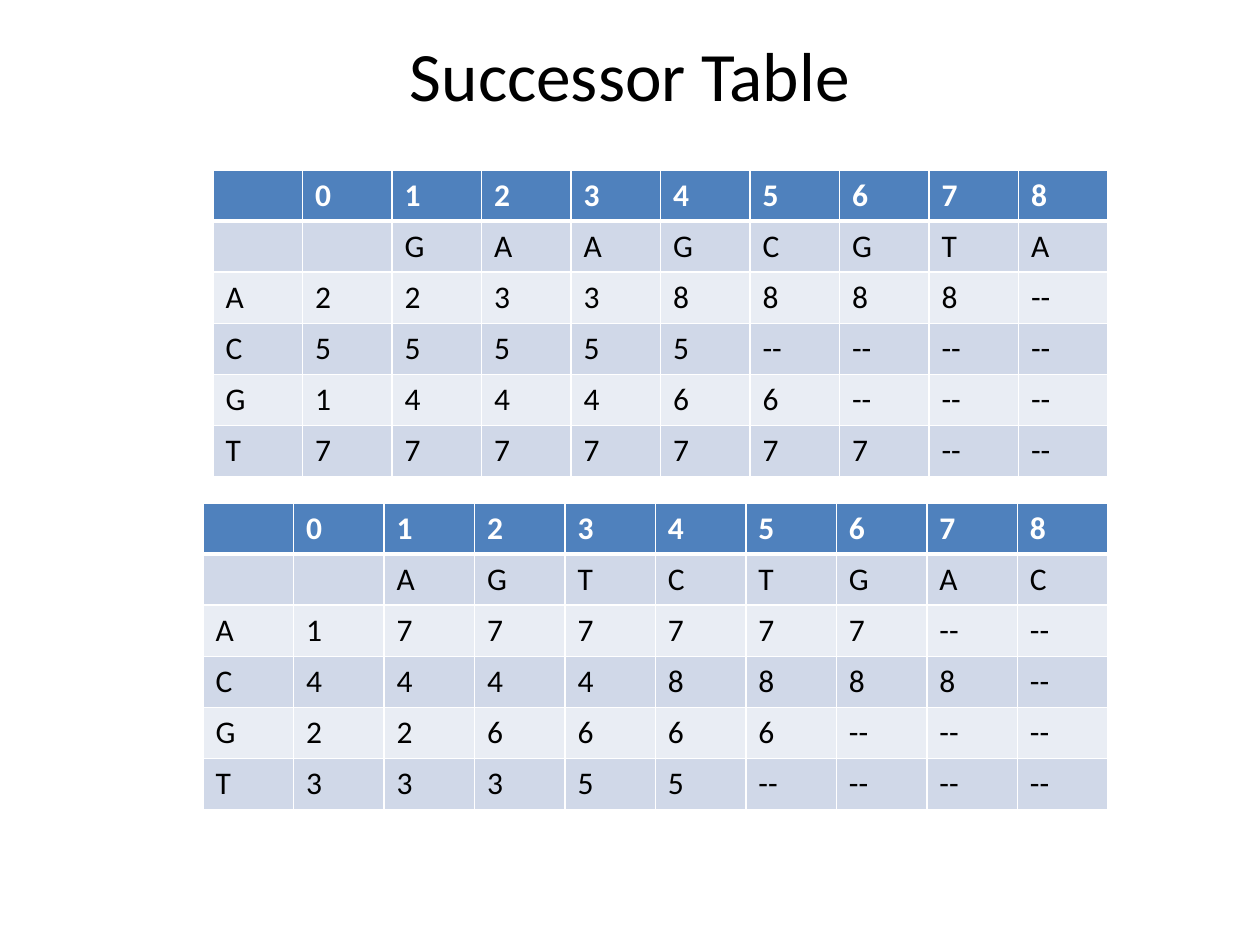
"""Build the Successor Table slide: two lookup tables under a title."""
from dataclasses import dataclass

from lxml.etree import SubElement
from pptx import Presentation
from pptx.dml.color import RGBColor as RGB
from pptx.enum.text import MSO_ANCHOR as Anchor, PP_ALIGN as Align
from pptx.oxml.ns import qn
from pptx.util import Pt


@dataclass(frozen=True)
class Theme:
    font: str = "Calibri"
    title_size: float = 39.6
    cell_size: int = 18
    ink: str = "000000"
    white: str = "FFFFFF"
    header: str = "4F81BD"
    odd_band: str = "D0D8E8"
    even_band: str = "E9EDF4"


theme = Theme()
EMU_PER_PX = 914400 / 126
ROW_HEIGHT = 51


def px(*lengths):
    return [round(length * EMU_PER_PX) for length in lengths]


def add_border(cell, side, points):
    line = SubElement(cell._tc.get_or_add_tcPr(), qn(f"a:ln{side}"), w=str(Pt(points)))
    fill = SubElement(line, qn("a:solidFill"))
    SubElement(fill, qn("a:srgbClr"), val=theme.white)


POSITIONS = [""] + [str(position) for position in range(9)]
successor_tables = [
    ((213, 170, 895), "GAAGCGTA", [
        "A 2 2 3 3 8 8 8 8 --",
        "C 5 5 5 5 5 -- -- -- --",
        "G 1 4 4 4 6 6 -- -- --",
        "T 7 7 7 7 7 7 7 -- --",
    ]),
    ((203, 503, 905), "AGTCTGAC", [
        "A 1 7 7 7 7 7 7 -- --",
        "C 4 4 4 4 8 8 8 8 --",
        "G 2 2 6 6 6 6 -- -- --",
        "T 3 3 3 5 5 -- -- -- --",
    ]),
]

deck = Presentation()
deck.slide_width, deck.slide_height = px(1260, 945)
slide = deck.slides.add_slide(deck.slide_layouts[5])

title = slide.shapes.title
title.left, title.top, title.width, title.height = px(63, 32, 1134, 158)
title.text_frame.text = "Successor Table"
title.text_frame.vertical_anchor = Anchor.TOP
title.text_frame.margin_top = 0
heading = title.text_frame.paragraphs[0]
heading.alignment = Align.CENTER
heading.font.name = theme.font
heading.font.size = Pt(theme.title_size)
heading.font.color.rgb = RGB.from_string(theme.ink)

for (left, top, width), sequence, successors in successor_tables:
    rows = [POSITIONS, ["", "", *sequence]] + [line.split() for line in successors]
    frame = px(left, top, width, ROW_HEIGHT * len(rows))
    grid = slide.shapes.add_table(len(rows), len(POSITIONS), *frame).table
    for row_index, row in enumerate(rows):
        is_header = row_index == 0
        band = theme.odd_band if row_index % 2 else theme.even_band
        for column_index, value in enumerate(row):
            cell = grid.cell(row_index, column_index)
            cell.text = value
            for side in "LRTB":
                under_header = (row_index, side) in [(0, "B"), (1, "T")]
                add_border(cell, side, 3 if under_header else 1)
            cell.fill.solid()
            cell.fill.fore_color.rgb = RGB.from_string(theme.header if is_header else band)
            font = cell.text_frame.paragraphs[0].font
            font.name = theme.font
            font.size = Pt(theme.cell_size)
            font.bold = is_header
            font.color.rgb = RGB.from_string(theme.white if is_header else theme.ink)

deck.save("out.pptx")
